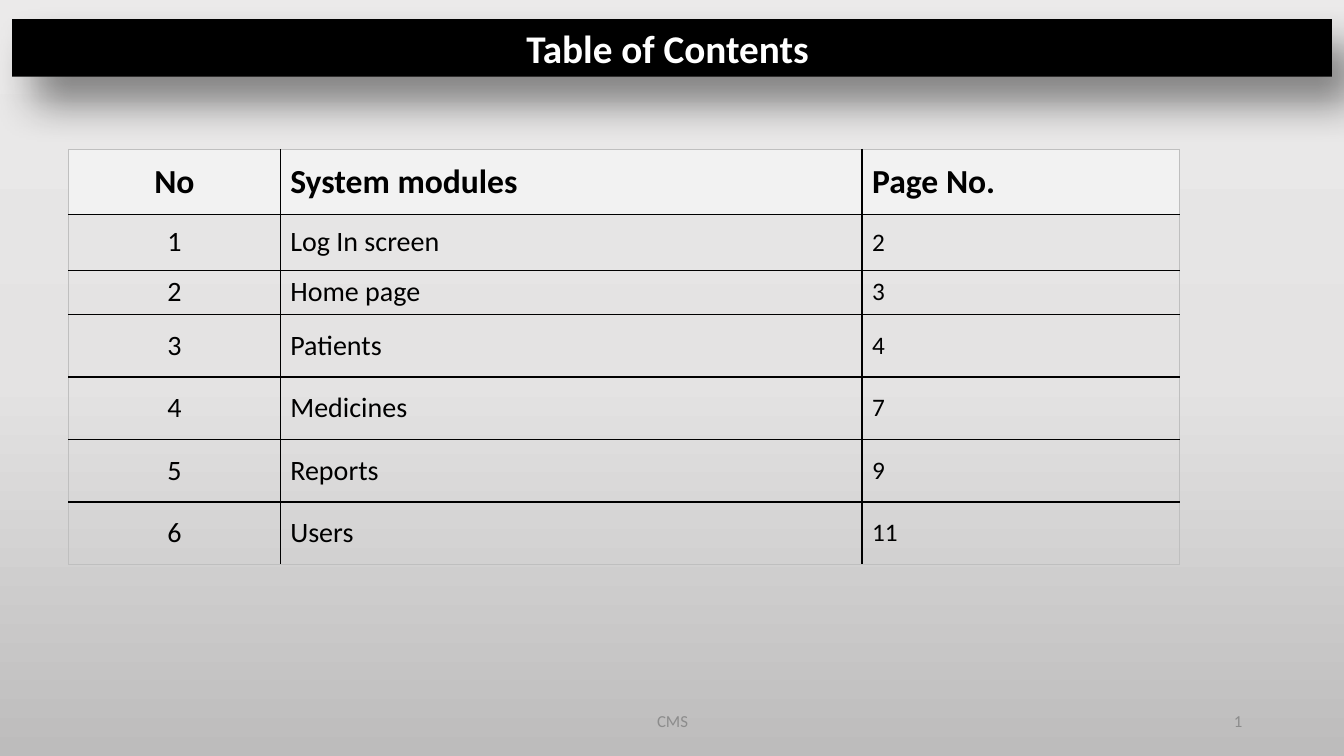
from copy import deepcopy
from dataclasses import dataclass
from math import atan2, degrees, hypot

from lxml.etree import SubElement
from pptx import Presentation
from pptx.dml.color import RGBColor
from pptx.enum.shapes import MSO_SHAPE
from pptx.enum.text import MSO_ANCHOR, PP_ALIGN
from pptx.oxml import parse_xml
from pptx.oxml.ns import nsdecls, qn
from pptx.util import Emu, Inches, Pt

COLORS = {
    "ink": "000000",
    "paper": "FFFFFF",
    "header": "F2F2F2",
    "frame": "BFBFBF",
    "footer": "8C8C8C",
    "sky": "EBEAEA",
    "middle": "E4E3E3",
    "ground": "BDBCBC",
}
SLIDE_WIDTH, SLIDE_HEIGHT = Inches(13.33), Inches(7.5)
COLUMN, ROW = SLIDE_WIDTH / 100, SLIDE_HEIGHT / 100
MODULE_COLUMNS = [15.75, 43.29, 23.63]
MODULE_ROWS = [8.67, 7.33, 5.87] + [8.27] * 4


@dataclass(frozen=True)
class Area:
    left: float
    top: float
    width: float
    height: float

    def box(self) -> tuple[Emu, Emu, Emu, Emu]:
        return (Emu(int(self.left * COLUMN)), Emu(int(self.top * ROW)),
                Emu(int(self.width * COLUMN)), Emu(int(self.height * ROW)))


@dataclass(frozen=True)
class Module:
    title: str
    page: int


@dataclass(frozen=True)
class FooterPart:
    text: str
    area: Area
    align: PP_ALIGN


MODULES = [
    Module("Log In screen", 2),
    Module("Home page", 3),
    Module("Patients", 4),
    Module("Medicines", 7),
    Module("Reports", 9),
    Module("Users", 11),
]
FOOTER = [
    FooterPart("CMS", Area(33.16, 92.67, 33.76, 5.33), PP_ALIGN.CENTER),
    FooterPart("1", Area(70.67, 92.67, 22.5, 5.33), PP_ALIGN.RIGHT),
]


def rgb(color: str) -> RGBColor:
    return RGBColor.from_string(COLORS[color])


def write(frame, text: str, *, size: float, color: str = "ink",
          bold: bool = False, align: PP_ALIGN = PP_ALIGN.LEFT) -> None:
    frame.word_wrap = True
    paragraph = frame.paragraphs[0]
    paragraph.alignment = align
    run = paragraph.add_run()
    run.text = text
    run.font.name = "Calibri"
    run.font.size = Pt(size)
    run.font.bold = bold
    run.font.color.rgb = rgb(color)


def paint_background(slide) -> None:
    fill = slide.background.fill
    fill.gradient()
    fill.gradient_angle = 270
    stop_list = next(slide.element.iter(qn("a:gsLst")))
    stop_list.append(deepcopy(stop_list[-1]))
    for stop, position, color in zip(fill.gradient_stops, (0, 0.5, 1),
                                     ("sky", "middle", "ground")):
        stop.position = position
        stop.color.rgb = rgb(color)


def cast_shadow(banner, blur: float, right: float, down: float, opacity: int) -> None:
    banner.shadow.inherit = False
    effects = banner.element.spPr.find(qn("a:effectLst"))
    shadow = SubElement(effects, qn("a:outerShdw"), {
        "blurRad": str(Pt(blur)),
        "dist": str(Pt(hypot(right, down))),
        "dir": str(round(degrees(atan2(down, right)) * 60000)),
        "algn": "ctr",
        "rotWithShape": "0",
    })
    tint = SubElement(shadow, qn("a:srgbClr"), val=COLORS["ink"])
    SubElement(tint, qn("a:alpha"), val=str(opacity * 1000))


def draw_banner(slide, text: str, area: Area) -> None:
    banner = slide.shapes.add_shape(MSO_SHAPE.RECTANGLE, *area.box())
    banner.fill.solid()
    banner.fill.fore_color.rgb = rgb("ink")
    banner.line.fill.background()
    cast_shadow(banner, blur=30, right=15, down=18, opacity=45)
    write(banner.text_frame, text, size=28, color="paper", bold=True,
          align=PP_ALIGN.CENTER)


def rule_cell(cell, outer_sides: dict[str, bool]) -> None:
    properties = cell._tc.get_or_add_tcPr()
    for index, (side, outer) in enumerate(outer_sides.items()):
        color, width = ("frame", 0.5) if outer else ("ink", 1)
        properties.insert(index, parse_xml(
            f'<a:ln{side} {nsdecls("a")} w="{Pt(width)}"><a:solidFill>'
            f'<a:srgbClr val="{COLORS[color]}"/></a:solidFill></a:ln{side}>'))


def draw_contents(slide, left: float, top: float) -> None:
    lines = [("No", "System modules", "Page No.")]
    lines += [(str(number), module.title, str(module.page))
              for number, module in enumerate(MODULES, 1)]
    area = Area(left, top, sum(MODULE_COLUMNS), sum(MODULE_ROWS))
    contents = slide.shapes.add_table(len(lines), len(MODULE_COLUMNS), *area.box()).table
    contents.first_row = contents.horz_banding = False
    for column, share in zip(contents.columns, MODULE_COLUMNS):
        column.width = Emu(int(share * COLUMN))
    for row, share in zip(contents.rows, MODULE_ROWS):
        row.height = Emu(int(share * ROW))
    last_row, last_column = len(lines) - 1, len(MODULE_COLUMNS) - 1
    for r, line in enumerate(lines):
        for c, text in enumerate(line):
            cell = contents.cell(r, c)
            cell.vertical_anchor = MSO_ANCHOR.MIDDLE
            if r == 0:
                cell.fill.solid()
                cell.fill.fore_color.rgb = rgb("header")
            else:
                cell.fill.background()
            rule_cell(cell, {"L": c == 0, "R": c == last_column,
                             "T": r == 0, "B": r == last_row})
            write(cell.text_frame, text, bold=r == 0,
                  size=24 if r == 0 else 18 if c == last_column else 20,
                  align=PP_ALIGN.CENTER if c == 0 else PP_ALIGN.LEFT)


def draw_footer(slide, part: FooterPart) -> None:
    frame = slide.shapes.add_textbox(*part.area.box()).text_frame
    frame.vertical_anchor = MSO_ANCHOR.MIDDLE
    write(frame, part.text, size=12, color="footer", align=part.align)


def main() -> None:
    presentation = Presentation()
    presentation.slide_width, presentation.slide_height = SLIDE_WIDTH, SLIDE_HEIGHT
    slide = presentation.slides.add_slide(presentation.slide_layouts[6])
    paint_background(slide)
    draw_banner(slide, "Table of Contents ", Area(0.9, 2.53, 98.2, 7.6))
    draw_contents(slide, left=5.1, top=19.73)
    for part in FOOTER:
        draw_footer(slide, part)
    presentation.save("out.pptx")


if __name__ == "__main__":
    main()
